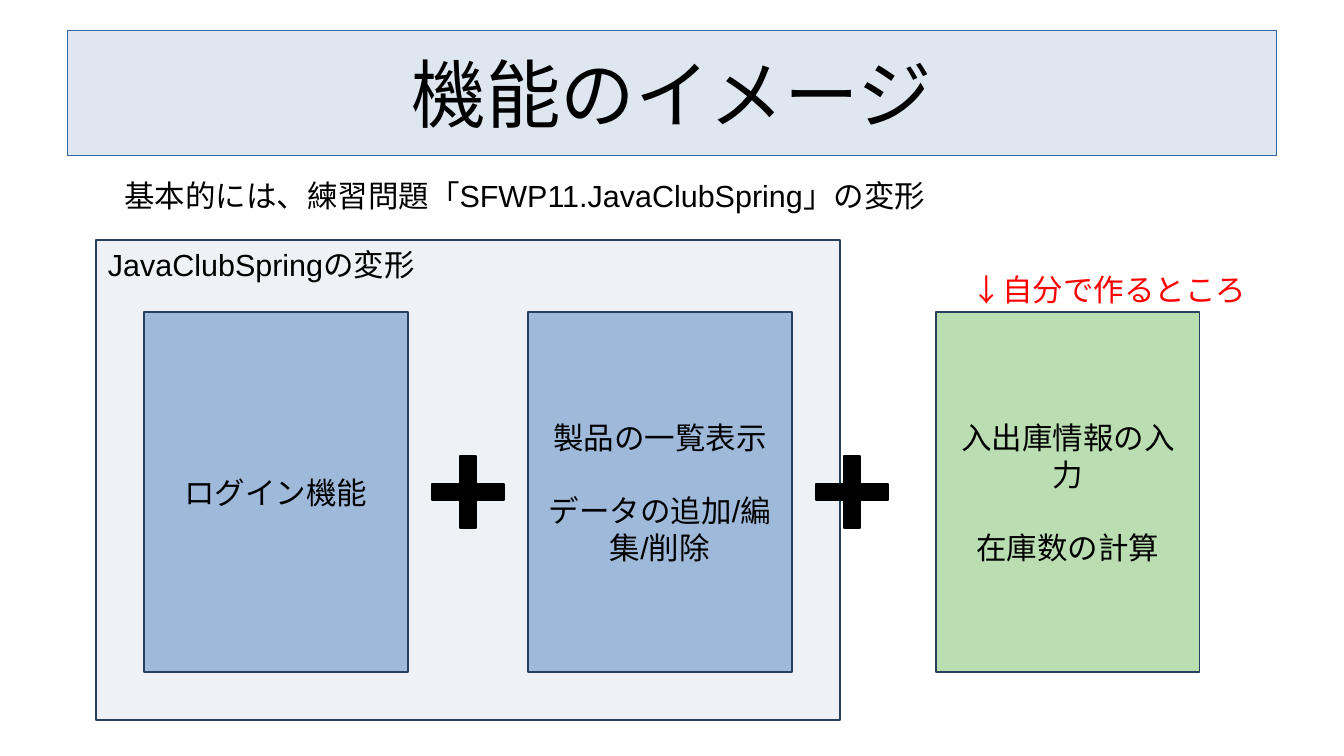
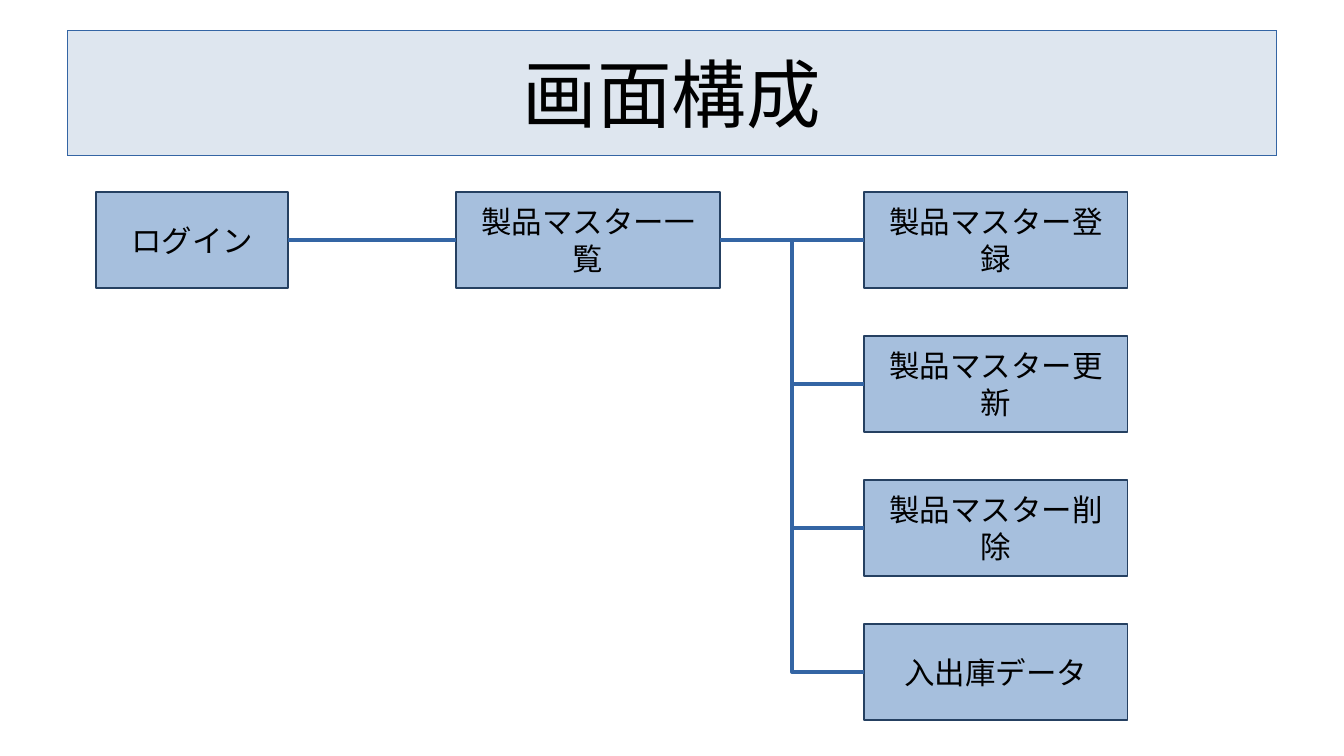
from lxml.etree import SubElement
from pptx import Presentation
from pptx.dml.color import RGBColor
from pptx.enum.shapes import MSO_CONNECTOR as Connector, MSO_SHAPE as Shape
from pptx.enum.text import MSO_ANCHOR as Anchor, MSO_AUTO_SIZE as AutoSize, PP_ALIGN as Align
from pptx.oxml.ns import qn
from pptx.util import Emu, Pt

# Shared style
PX = 914400 / 122
FONT = "Arial"
BLACK = RGBColor(0x00, 0x00, 0x00)
RED = RGBColor(0xFF, 0x00, 0x00)
PALE = RGBColor(0xDE, 0xE6, 0xEF)
BLUE = RGBColor(0x4F, 0x81, 0xBD)
GREEN = RGBColor(0x77, 0xBC, 0x65)
NAVY = RGBColor(0x25, 0x40, 0x61)
LINE_BLUE = RGBColor(0x34, 0x65, 0xA4)
TITLE_BOX = (67, 30, 1210, 126)
CONTENT = (96, 192)  # left and top of the area below the title


def px(length):
    return Emu(round(length * PX))


def place(shape, box):
    shape.left, shape.top, shape.width, shape.height = map(px, box)


def write(shape, *lines, size=18, color=BLACK, align=Align.CENTER,
          anchor=Anchor.MIDDLE, inset=None, gap=0):
    """Write one paragraph per line, with gap points between them."""
    frame = shape.text_frame
    frame.word_wrap = True
    frame.auto_size = AutoSize.NONE
    frame.vertical_anchor = anchor
    if inset is not None:
        frame.margin_left = frame.margin_right = px(inset)
        frame.margin_top = frame.margin_bottom = px(inset)
    for index, line in enumerate(lines):
        para = frame.add_paragraph() if index else frame.paragraphs[0]
        para.alignment = align
        para.space_before = Pt(gap if index else 0)
        span = para.add_run()
        span.text = line
        span.font.size, span.font.name = Pt(size), FONT
        span.font.color.rgb = color


def paint(shape, fill, line, opacity=100):
    shape.fill.solid()
    shape.fill.fore_color.rgb = fill
    shape.line.color.rgb = line
    shape.line.width = Pt(0)
    if opacity < 100:
        color = shape._element.spPr.find(qn("a:solidFill")).find(qn("a:srgbClr"))
        SubElement(color, qn("a:alpha")).set("val", str(opacity * 1000))


def add_panel(page, box, *lines, fill=BLUE, **text_format):
    """Half transparent rectangle with text."""
    panel = page.shapes.add_shape(Shape.RECTANGLE, *map(px, box))
    panel.shadow.inherit = False
    paint(panel, fill, NAVY, opacity=50)
    write(panel, *lines, **text_format)
    return panel


def add_plus(page, center_x, center_y, size=72):
    box = (center_x - size / 2, center_y - size / 2, size, size)
    plus = page.shapes.add_shape(Shape.CROSS, *map(px, box))
    plus.shadow.inherit = False
    plus.adjustments[0] = 0.39
    paint(plus, BLACK, BLACK)


def link(page, source, target):
    """Join the right side of source to the left side of target."""
    level = source.top == target.top
    kind = Connector.STRAIGHT if level else Connector.ELBOW
    line = page.shapes.add_connector(kind, 0, 0, 0, 0)
    line.begin_connect(source, 3)
    line.end_connect(target, 1)
    line.line.color.rgb = LINE_BLUE
    line.line.width = Pt(0)
    SubElement(line._element.spPr, qn("a:effectLst"))


def add_page(deck, layout, title):
    page = deck.slides.add_slide(deck.slide_layouts[layout])
    band = page.shapes.title
    place(band, TITLE_BOX)
    paint(band, PALE, LINE_BLUE)
    write(band, title, size=44, inset=0)
    for holder in list(page.placeholders):
        if holder.placeholder_format.idx > 1:
            holder._element.getparent().remove(holder._element)
    return page


def add_lead(page, text, box):
    """Body text without a bullet."""
    body = page.placeholders[1]
    place(body, box)
    write(body, text, align=Align.LEFT, anchor=Anchor.TOP, inset=0)
    properties = body.text_frame.paragraphs[0]._p.get_or_add_pPr()
    properties.set("marL", str(px(57)))
    properties.set("indent", "0")
    SubElement(properties, qn("a:buNone"))


def add_features(page, left, top):
    """Frame with two existing features, plus the new one beside it."""
    add_panel(page, (left, top, 744, 480), "JavaClubSpringの変形", fill=PALE,
              align=Align.LEFT, anchor=Anchor.TOP)
    features = [
        (48, BLUE, ["ログイン機能"]),
        (432, BLUE, ["製品の一覧表示", "データの追加/編集/削除"]),
        (840, GREEN, ["入出庫情報の入力", "在庫数の計算"]),
    ]
    for offset, fill, lines in features:
        add_panel(page, (left + offset, top + 72, 264, 360), *lines,
                  fill=fill, gap=21.5)
    for offset in (372, 756):
        add_plus(page, left + offset, top + 252)
    note = page.shapes.add_textbox(*map(px, (left + 864, top + 25, 337, 55)))
    write(note, "↓自分で作るところ", color=RED, align=Align.LEFT, anchor=Anchor.TOP)


def add_screen_tree(page, left, top, height=96, pitch=144):
    """Login, then the list screen, then its four child screens."""
    login = add_panel(page, (left, top, 192, height), "ログイン")
    listing = add_panel(page, (left + 360, top, 264, height), "製品マスター一覧")
    link(page, login, listing)
    children = ["製品マスター登録", "製品マスター更新", "製品マスター削除", "入出庫データ"]
    for row, name in enumerate(children):
        child = add_panel(page, (left + 768, top + row * pitch, 264, height), name)
        link(page, listing, child)


def main():
    deck = Presentation()
    deck.slide_width, deck.slide_height = px(1344), px(756)
    left, top = CONTENT

    # Feature overview
    page = add_page(deck, 1, "機能のイメージ")
    add_lead(page, "基本的には、練習問題「SFWP11.JavaClubSpring」の変形", (67, 177, 1210, 63))
    add_features(page, left, top + 48)

    # Screen structure
    page = add_page(deck, 5, "画面構成")
    add_screen_tree(page, left, top)

    deck.save("out.pptx")


if __name__ == "__main__":
    main()
